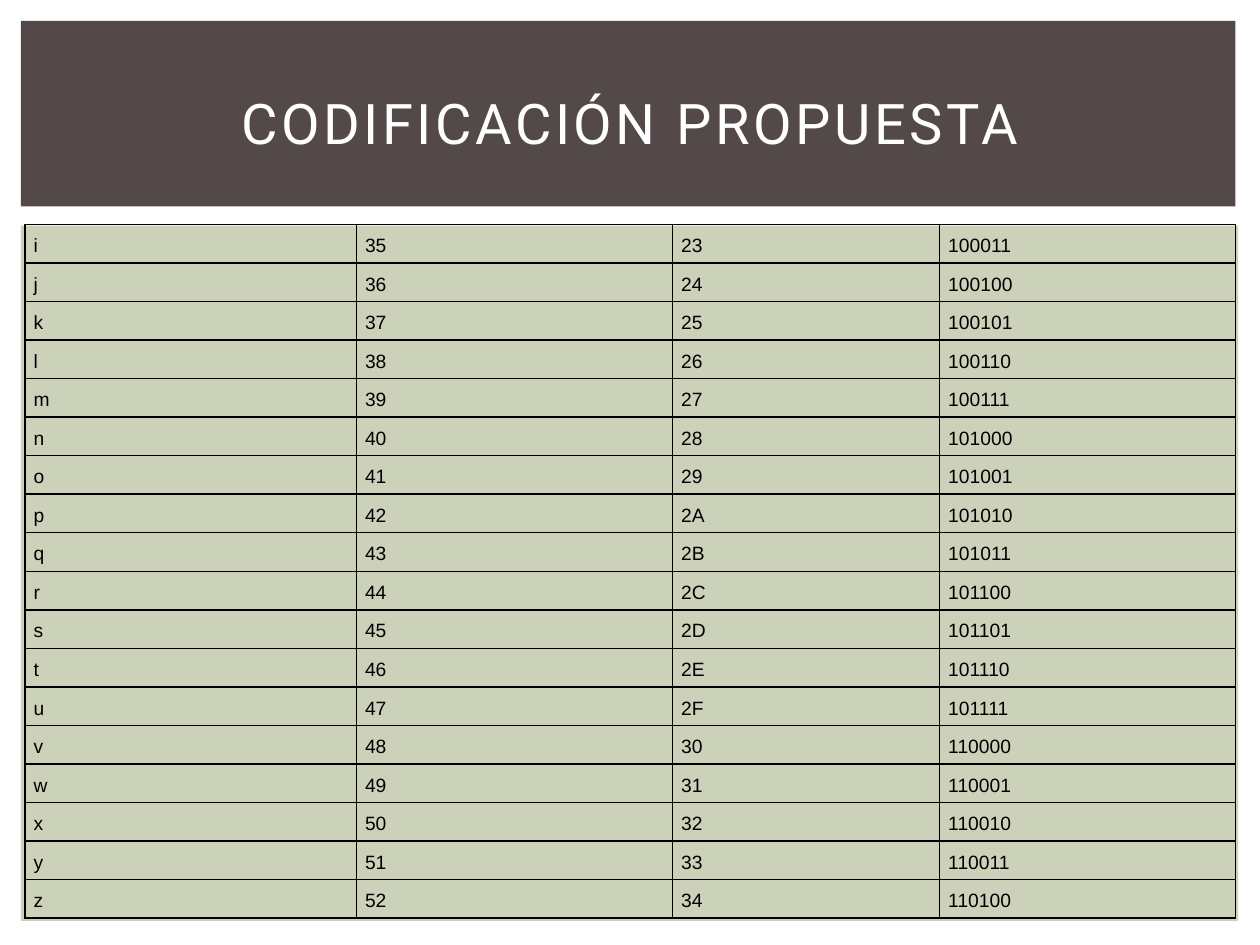
from dataclasses import dataclass

from lxml.etree import SubElement
from pptx import Presentation
from pptx.dml.color import RGBColor
from pptx.enum.shapes import MSO_SHAPE
from pptx.enum.text import MSO_ANCHOR, PP_ALIGN
from pptx.oxml import parse_xml
from pptx.oxml.ns import nsdecls, qn
from pptx.util import Pt


@dataclass(frozen=True)
class Theme:
    band: str = "534949"
    panel: str = "CCD1B9"
    title_color: str = "FFFFFF"
    ink: str = "000000"
    title_font: str = "Roboto"
    body_font: str = "Arial"
    title_size: float = 32
    body_size: float = 11
    border_width: float = 1


THEME = Theme()
LETTERS = "ijklmnopqrstuvwxyz"
FIRST_CODE = 35
COLUMN_WIDTHS = (189.4, 180.7, 152.6, 169.2)


def write_text(frame, text, *, font, size, color, align, line_spacing=1.0, tracking=0):
    para = frame.paragraphs[0]
    para.alignment = align
    para.line_spacing = line_spacing
    span = para.add_run()
    span.text = text
    span.font.name = font
    span.font.size = Pt(size)
    span.font.color.rgb = RGBColor.from_string(color)
    if tracking:
        span.font._element.set("spc", str(tracking * 100))


def add_panel(page, box, color):
    panel = page.shapes.add_shape(MSO_SHAPE.RECTANGLE, *map(Pt, box))
    panel.shadow.inherit = False
    panel.fill.solid()
    panel.fill.fore_color.rgb = RGBColor.from_string(color)
    panel.line.fill.background()


def add_heading(page, box, text):
    left, top, width, height = box
    add_panel(page, box, THEME.band)
    title = page.shapes.add_textbox(Pt(left + 18), Pt(top + 16), Pt(width - 34), Pt(height - 23))
    title.text_frame.word_wrap = True
    title.text_frame.vertical_anchor = MSO_ANCHOR.MIDDLE
    write_text(title.text_frame, text, font=THEME.title_font, size=THEME.title_size,
               color=THEME.title_color, align=PP_ALIGN.CENTER, tracking=2)


def draw_borders(cell):
    properties = cell._tc.get_or_add_tcPr()
    for position, side in enumerate(("lnL", "lnR", "lnT", "lnB")):
        border = parse_xml(f'<a:{side} {nsdecls("a")} w="{Pt(THEME.border_width)}"/>')
        fill = SubElement(border, qn("a:solidFill"))
        SubElement(fill, qn("a:srgbClr"), val=THEME.ink)
        properties.insert(position, border)


def add_code_table(page, box, rows):
    # Background panel, slightly larger than the grid
    left, top, width, height = box
    add_panel(page, (left - 2.2, top + 0.7, width + 3.6, height + 0.7), THEME.panel)

    # Grid
    frame = page.shapes.add_table(len(rows), len(COLUMN_WIDTHS), *map(Pt, box))
    table = frame.table
    table.first_row = False
    table.horz_banding = False
    for column, column_width in zip(table.columns, COLUMN_WIDTHS):
        column.width = Pt(column_width)

    # Cells
    for row, values in zip(table.rows, rows):
        row.height = Pt(height / len(rows))
        for cell, value in zip(row.cells, values):
            cell.margin_left = cell.margin_right = Pt(5)
            cell.margin_top = cell.margin_bottom = Pt(0)
            cell.fill.background()
            draw_borders(cell)
            write_text(cell.text_frame, value, font=THEME.body_font, size=THEME.body_size,
                       color=THEME.ink, align=PP_ALIGN.JUSTIFY, line_spacing=1.5)


def main():
    deck = Presentation()
    deck.slide_width, deck.slide_height = Pt(720), Pt(540)
    page = deck.slides.add_slide(deck.slide_layouts[6])

    # Each row: letter, decimal, hexadecimal, binary
    rows = [(letter, str(code), f"{code:X}", f"{code:b}")
            for code, letter in enumerate(LETTERS, FIRST_CODE)]

    add_heading(page, (12, 12, 694, 106), "CODIFICACIÓN PROPUESTA")
    add_code_table(page, (14.2, 128.2, sum(COLUMN_WIDTHS), 396.72), rows)
    deck.save("out.pptx")


if __name__ == "__main__":
    main()
